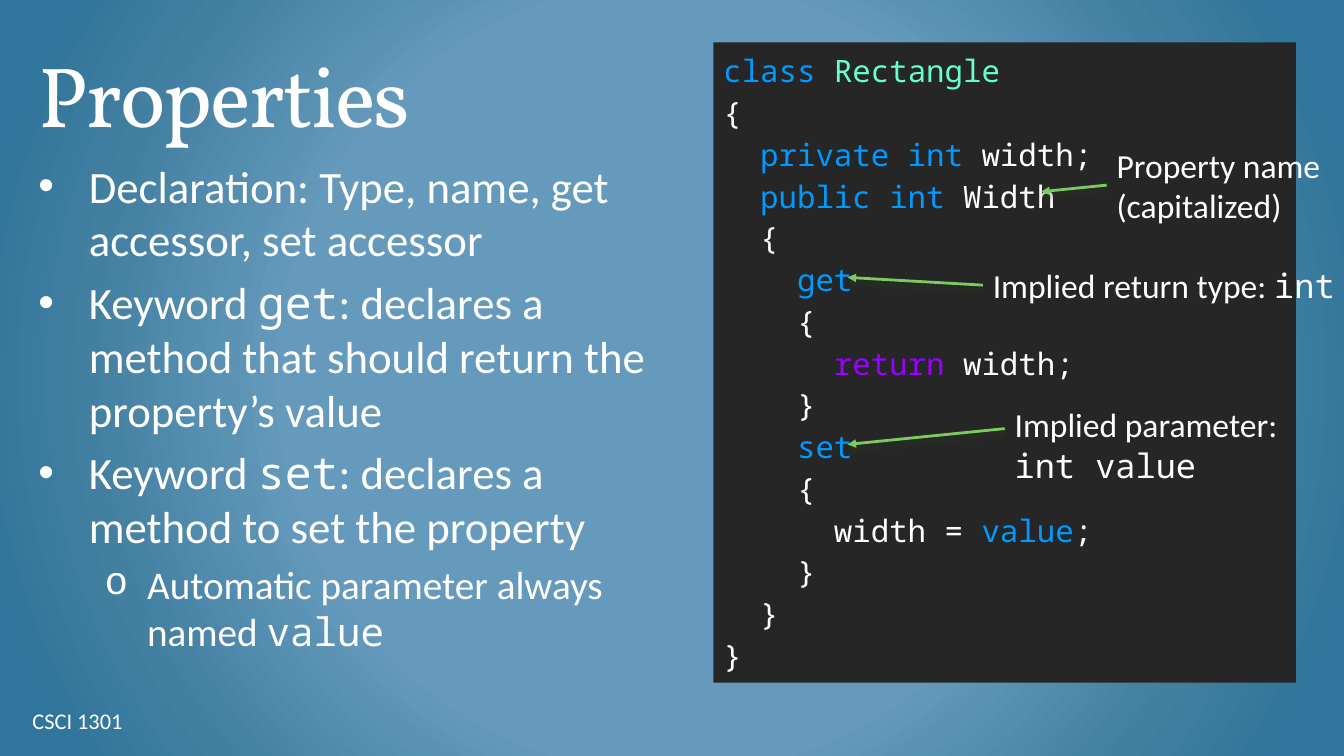
import pptx
import pptx.dml.color
import pptx.enum.shapes
import pptx.enum.text
import pptx.oxml
import pptx.util
from dataclasses import dataclass

Cm = pptx.util.Cm
Pt = pptx.util.Pt
NS = 'xmlns:a="http://schemas.openxmlformats.org/drawingml/2006/main"'


@dataclass(frozen=True)
class Theme:
    heading: str = "Vollkorn"
    body: str = "Calibri"
    mono: str = "Noto Sans Mono"
    white: str = "FFFFFF"
    keyword: str = "0099FF"
    class_name: str = "66FFCC"
    control: str = "9900FF"
    panel: str = "262626"
    arrow: str = "7CCA62"
    arrow_shadow: str = "2B4821"
    background: tuple = ((50, "659ABC"), (76, "427FA1"), (92, "30759B"))
    title_size: float = 61
    bullet_size: float = 32
    detail_size: float = 28
    label_size: float = 24
    code_size: float = 22
    footer_size: float = 16


theme = Theme()


def add_runs(paragraph, pieces, size):
    for words, font, color in pieces:
        run = paragraph.add_run()
        run.text = words
        run.font.name = font
        run.font.size = Pt(size)
        run.font.color.rgb = pptx.dml.color.RGBColor.from_string(color)


def add_box(left, top, width, height, side=0.25, edge=0.13):
    box = slide.shapes.add_textbox(Cm(left), Cm(top), Cm(width), Cm(height))
    frame = box.text_frame
    frame.word_wrap = True
    frame.margin_left = frame.margin_right = Cm(side)
    frame.margin_top = frame.margin_bottom = Cm(edge)
    return box


deck = pptx.Presentation()
deck.slide_width = Cm(33.87)
deck.slide_height = Cm(19.05)
slide = deck.slides.add_slide(deck.slide_layouts[6])

backdrop = slide.background.fill
backdrop.gradient()
gradient = slide.background._cSld.bg.bgPr.find(pptx.oxml.ns.qn("a:gradFill"))
for part in list(gradient):
    gradient.remove(part)
stops = "".join(
    f'<a:gs pos="{place * 1000}"><a:srgbClr val="{color}"/></a:gs>'
    for place, color in theme.background
)
gradient.append(pptx.oxml.parse_xml(f"<a:gsLst {NS}>{stops}</a:gsLst>"))
gradient.append(pptx.oxml.parse_xml(
    f'<a:path {NS} path="circle">'
    '<a:fillToRect l="50000" t="50000" r="50000" b="50000"/></a:path>'
))

title = add_box(0.64, 0.64, 32.59, 3.18, 0.33, 0.18).text_frame
title.vertical_anchor = pptx.enum.text.MSO_ANCHOR.BOTTOM
title.paragraphs[0].line_spacing = Pt(77.3)
add_runs(title.paragraphs[0], [("Properties", theme.heading, theme.white)], theme.title_size)
title.paragraphs[0].runs[0].font._element.set("spc", "-130")

course = add_box(0.64, 17.65, 10.54, 1.02, 0.18, 0.18).text_frame
course.vertical_anchor = pptx.enum.text.MSO_ANCHOR.MIDDLE
add_runs(course.paragraphs[0], [("CSCI 1301", theme.body, theme.white)], theme.footer_size)

points = [
    (0, ["Declaration: Type, name, get accessor, set accessor"]),
    (0, ["Keyword ", "get", ": declares a method that should return the property’s value"]),
    (0, ["Keyword ", "set", ": declares a method to set the property"]),
    (1, ["Automatic parameter always named ", "value"]),
]
levels = [
    ("•", "Arial", 1.27, 1.27, theme.bullet_size),
    ("o", "Courier New", 2.74, 1.07, theme.detail_size),
]
explanation = add_box(0.64, 3.81, 16.03, 13.23, 0.33, 0.18).text_frame
for index, (level, words) in enumerate(points):
    mark, mark_font, indent, hanging, size = levels[level]
    point = explanation.add_paragraph() if index else explanation.paragraphs[0]
    point.level = level
    if index:
        point.space_before = Pt(size * 0.2)
    layout = point._p.get_or_add_pPr()
    layout.set("marL", str(Cm(indent)))
    layout.set("indent", str(-Cm(hanging)))
    layout.append(pptx.oxml.parse_xml(f'<a:buFont {NS} typeface="{mark_font}"/>'))
    layout.append(pptx.oxml.parse_xml(f'<a:buChar {NS} char="{mark}"/>'))
    fonts = [theme.body, theme.mono, theme.body]
    add_runs(point, [(text, font, theme.white) for text, font in zip(words, fonts)], size)

listing = slide.shapes.add_shape(
    pptx.enum.shapes.MSO_SHAPE.RECTANGLE, Cm(17.98), Cm(1.07), Cm(14.68), Cm(16.13)
)
listing.shadow.inherit = False
listing.fill.solid()
listing.fill.fore_color.rgb = pptx.dml.color.RGBColor.from_string(theme.panel)
listing.line.fill.background()
listing.text_frame.word_wrap = True
listing.text_frame.vertical_anchor = pptx.enum.text.MSO_ANCHOR.TOP
code = [
    [("class ", theme.keyword), ("Rectangle", theme.class_name)],
    [("{", theme.white)],
    [("  private int", theme.keyword), (" width;", theme.white)],
    [("  public int", theme.keyword), (" Width", theme.white)],
    [("  {", theme.white)],
    [("    get", theme.keyword)],
    [("    {", theme.white)],
    [("      return", theme.control), (" width;", theme.white)],
    [("    }", theme.white)],
    [("    set", theme.keyword)],
    [("    {", theme.white)],
    [("      width = ", theme.white), ("value", theme.keyword), (";", theme.white)],
    [("    }", theme.white)],
    [("  }", theme.white)],
    [("}", theme.white)],
]
for index, pieces in enumerate(code):
    frame = listing.text_frame
    code_line = frame.add_paragraph() if index else frame.paragraphs[0]
    code_line.alignment = pptx.enum.text.PP_ALIGN.LEFT
    code_line.line_spacing = 1.13
    add_runs(code_line, [(text, theme.mono, color) for text, color in pieces], theme.code_size)

notes = [
    ((27.89, 3.51, 6.12, 2.31), True, ["Property name (capitalized)"],
     (27.89, 4.65), (26.24, 4.83), True),
    ((24.77, 6.55, 9.3, 1.27), False, ["Implied return type: ", "int"],
     (24.77, 7.21), (21.36, 6.99), True),
    ((25.32, 10.06, 7.7, 2.31), True, ["Implied parameter: ", "int value"],
     (25.32, 10.8), (21.36, 11.2), False),
]
arrows = []
for place, wraps, words, start, end, joined in notes:
    label = add_box(*place)
    label.text_frame.word_wrap = wraps
    fonts = [theme.body, theme.mono]
    add_runs(label.text_frame.paragraphs[0],
             [(text, font, theme.white) for text, font in zip(words, fonts)], theme.label_size)
    arrows.append((label, start, end, joined))

for label, start, end, joined in arrows:
    arrow = slide.shapes.add_connector(
        pptx.enum.shapes.MSO_CONNECTOR.STRAIGHT, *map(Cm, start + end)
    )
    if joined:
        arrow.begin_connect(label, 1)
    arrow.line.color.rgb = pptx.dml.color.RGBColor.from_string(theme.arrow)
    arrow.line.width = Pt(2)
    arrow.line._get_or_add_ln().append(pptx.oxml.parse_xml(f'<a:tailEnd {NS} type="triangle"/>'))
    arrow._element.spPr.append(pptx.oxml.parse_xml(
        f'<a:effectLst {NS}><a:outerShdw blurRad="{Pt(4.5)}" dist="{Pt(3)}" dir="5400000" '
        f'rotWithShape="0"><a:srgbClr val="{theme.arrow_shadow}"><a:alpha val="48000"/>'
        "</a:srgbClr></a:outerShdw></a:effectLst>"
    ))

deck.save("out.pptx")
